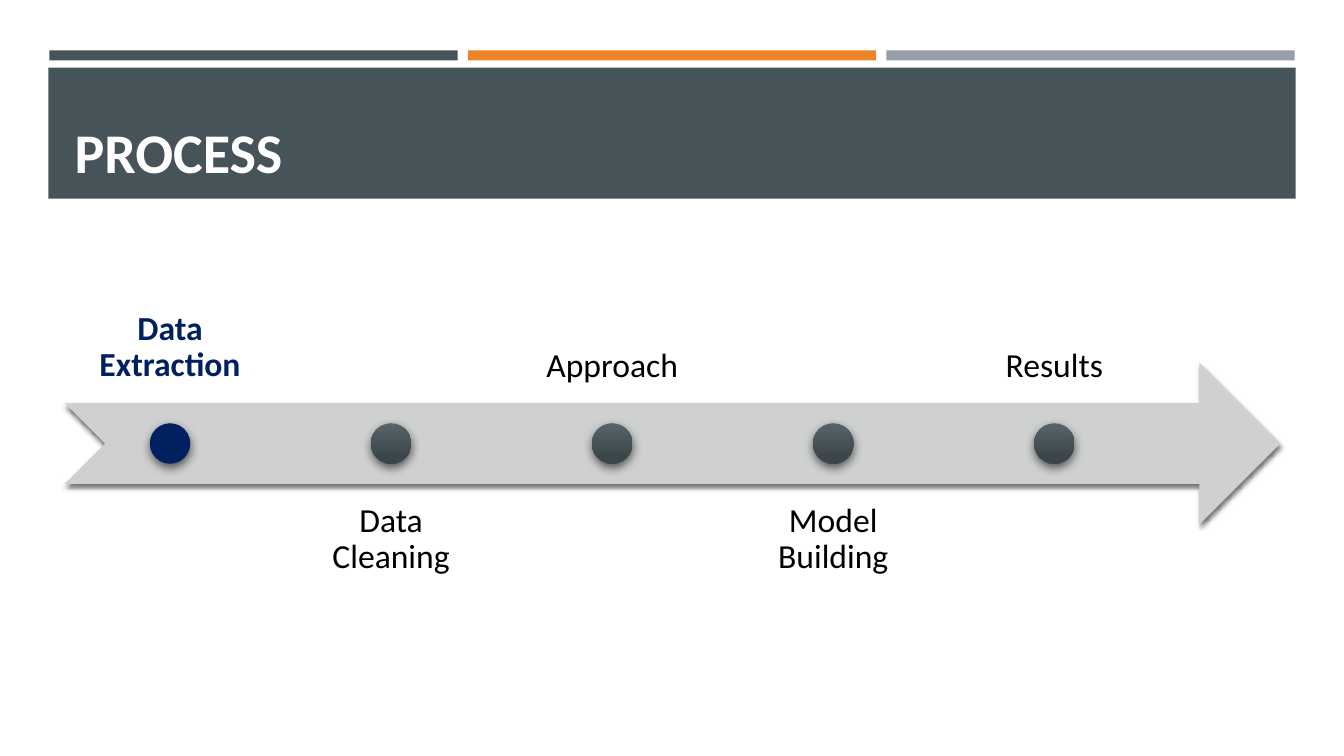
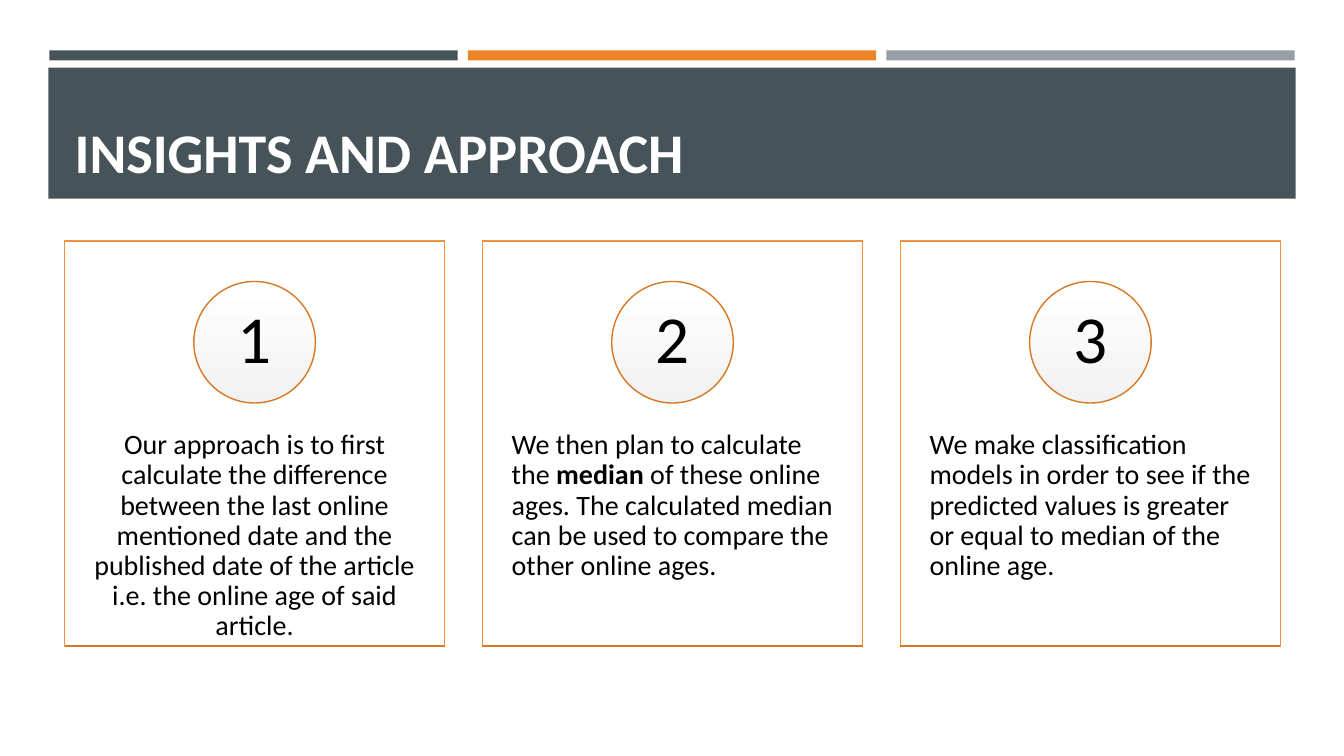
from dataclasses import dataclass
from typing import NamedTuple

from lxml.etree import SubElement
from pptx import Presentation
from pptx.dml.color import RGBColor
from pptx.enum.shapes import MSO_CONNECTOR, MSO_SHAPE
from pptx.enum.text import MSO_ANCHOR, PP_ALIGN
from pptx.oxml.ns import qn
from pptx.util import Emu, Inches, Pt

FONT = "Calibri"
SLATE, AMBER, STEEL = "465359", "ED8428", "969FA7"
WHITE, BLACK, NAVY, SILVER = "FFFFFF", "000000", "002060", "CFD1D1"
EDGE, RUST = "EF903E", "D77824"

LEFT, TOP, WIDE, HIGH = 0.64, 2.39, 12.06, 4.02
ROW = HIGH / 5


class Box(NamedTuple):
    x: float
    y: float
    w: float
    h: float

    def emu(self) -> tuple[Emu, ...]:
        return tuple(Inches(v) for v in self)


class Run(NamedTuple):
    text: str
    bold: bool = False


class Shade(NamedTuple):
    alpha: int
    blur: float
    dist: float
    angle: int


class Blend(NamedTuple):
    start: str
    end: str
    stop: float


DOT = Blend("58646A", "3B464B", 0.84)
BADGE = Blend(WHITE, "F2F2F2", 1)
DOT_SHADE = Shade(60, 7, 3, 84)
ARROW_SHADE = Shade(55, 3, 2, 90)


@dataclass
class Step:
    name: str
    now: bool = False


@dataclass
class Card:
    runs: list[Run]
    align: PP_ALIGN = PP_ALIGN.LEFT


STEPS = [
    Step("Data Extraction", True),
    Step("Data Cleaning"),
    Step("Approach"),
    Step("Model Building"),
    Step("Results"),
]

CARDS = [
    Card([Run("Our approach is to first calculate the difference between the last "
              "online mentioned date and the published date of the article i.e. "
              "the online age of said article.")], PP_ALIGN.CENTER),
    Card([Run("We then plan to calculate the "), Run("median", True),
          Run(" of these online ages. The calculated median can be used to "
              "compare the other online ages.")]),
    Card([Run("We make classification models in order to see if the predicted "
              "values is greater or equal to median of the online age.")]),
]


def tint(code: str) -> RGBColor:
    return RGBColor.from_string(code)


def write(frame, runs: list[Run], size: float, color: str, align: PP_ALIGN,
          anchor: MSO_ANCHOR, pad: tuple[float, float], lead: float = 0.9) -> None:
    frame.word_wrap = True
    frame.vertical_anchor = anchor
    frame.margin_left = frame.margin_right = Inches(pad[0])
    frame.margin_top = frame.margin_bottom = Inches(pad[1])
    para = frame.paragraphs[0]
    para.alignment = align
    para.line_spacing = lead
    for item in runs:
        run = para.add_run()
        run.text = item.text
        run.font.name = FONT
        run.font.size = Pt(size)
        run.font.bold = item.bold
        run.font.color.rgb = tint(color)


def draw(slide, kind: MSO_SHAPE, box: Box, fill: str | Blend,
         line: str | None = None, shade: Shade | None = None):
    shape = slide.shapes.add_shape(kind, *box.emu())
    if isinstance(fill, Blend):
        shape.fill.gradient()
        shape.fill.gradient_angle = 270
        first, last = shape.fill.gradient_stops
        first.color.rgb, last.color.rgb = tint(fill.start), tint(fill.end)
        first.position, last.position = 0, fill.stop
    else:
        shape.fill.solid()
        shape.fill.fore_color.rgb = tint(fill)
    if line:
        shape.line.color.rgb = tint(line)
        shape.line.width = Pt(1)
    else:
        shape.line.fill.background()
    shape.shadow.inherit = False
    if shade:
        cast(shape, shade)
    return shape


def cast(shape, shade: Shade) -> None:
    glow = shape.element.spPr.find(qn("a:effectLst"))
    outer = SubElement(glow, qn("a:outerShdw"), blurRad=str(Pt(shade.blur)),
                       dist=str(Pt(shade.dist)), dir=str(shade.angle * 60000),
                       algn="ctr", rotWithShape="0")
    color = SubElement(outer, qn("a:srgbClr"), val=BLACK)
    SubElement(color, qn("a:alpha"), val=str(shade.alpha * 1000))


def rule(slide, x: float, y: float, w: float) -> None:
    line = slide.shapes.add_connector(
        MSO_CONNECTOR.STRAIGHT, *Box(x, y, x + w, y).emu())
    line.line.color.rgb = tint(RUST)
    line.line.width = Pt(1)
    SubElement(line.element.spPr, qn("a:effectLst"))


def label(slide, box: Box, runs: list[Run], size: float, color: str,
          align: PP_ALIGN, anchor: MSO_ANCHOR, pad: tuple[float, float]) -> None:
    frame = slide.shapes.add_textbox(*box.emu()).text_frame
    write(frame, runs, size, color, align, anchor, pad)


def brand(layout, slide) -> None:
    title, *rest = layout.placeholders
    for spare in rest:
        spare.element.getparent().remove(spare.element)
    box = Box(LEFT, 0.77, WIDE, 1.11)
    title.left, title.top, title.width, title.height = box.emu()
    bars = [draw(slide, MSO_SHAPE.RECTANGLE, Box(0.49 + 4.15 * col, 0.5, 4.05, 0.1), hue)
            for col, hue in enumerate((SLATE, AMBER, STEEL))]
    bars.append(draw(slide, MSO_SHAPE.RECTANGLE, Box(0.48, 0.67, 12.37, 1.3), SLATE))
    for bar in bars:
        title.element.addprevious(bar.element)


def head(slide, text: str) -> None:
    write(slide.shapes.title.text_frame, [Run(text, True)], 40, WHITE,
          PP_ALIGN.LEFT, MSO_ANCHOR.BOTTOM, (0.1, 0.05), 1.0)


def process(slide) -> None:
    head(slide, "PROCESS")
    draw(slide, MSO_SHAPE.NOTCHED_RIGHT_ARROW,
         Box(LEFT, TOP + 1.5 * ROW, WIDE, 2 * ROW), SILVER, shade=ARROW_SHADE)
    pitch = WIDE / 5.5
    wide = pitch - 0.1
    size = ROW / 2
    for col, step in enumerate(STEPS):
        x = LEFT + col * pitch
        above = col % 2 == 0
        label(slide, Box(x, TOP + (0 if above else 3) * ROW, wide, 2 * ROW),
              [Run(step.name, step.now)], 24, NAVY if step.now else BLACK,
              PP_ALIGN.CENTER, MSO_ANCHOR.BOTTOM if above else MSO_ANCHOR.TOP,
              (0.19, 0.19))
        draw(slide, MSO_SHAPE.OVAL,
             Box(x + (wide - size) / 2, TOP + 2.25 * ROW, size, size),
             NAVY if step.now else DOT, shade=DOT_SHADE)


def insight(slide) -> None:
    head(slide, "INSIGHTS AND APPROACH")
    wide = 3.77
    pitch = (WIDE - wide) / (len(CARDS) - 1)
    size = 1.5 * ROW
    for col, card in enumerate(CARDS):
        x = LEFT + col * pitch
        draw(slide, MSO_SHAPE.RECTANGLE, Box(x, TOP, wide, HIGH), WHITE, EDGE)
        label(slide, Box(x, 3.91, wide, 3 * ROW), card.runs, 20, BLACK,
              card.align, MSO_ANCHOR.TOP, (0.29, 0.36))
        badge = draw(slide, MSO_SHAPE.OVAL,
                     Box(x + (wide - size) / 2, TOP + ROW / 2, size, size),
                     BADGE, RUST)
        write(badge.text_frame, [Run(str(col + 1))], 48, BLACK,
              PP_ALIGN.CENTER, MSO_ANCHOR.MIDDLE, (0.09, 0.01))
        rule(slide, x, TOP + HIGH, wide)


def main() -> None:
    deck = Presentation()
    deck.slide_width, deck.slide_height = Inches(13.33), Inches(7.5)
    layout = deck.slide_layouts[5]
    first, last = (deck.slides.add_slide(layout) for _ in range(2))
    brand(layout, first)
    process(first)
    insight(last)
    deck.save("out.pptx")


if __name__ == "__main__":
    main()
